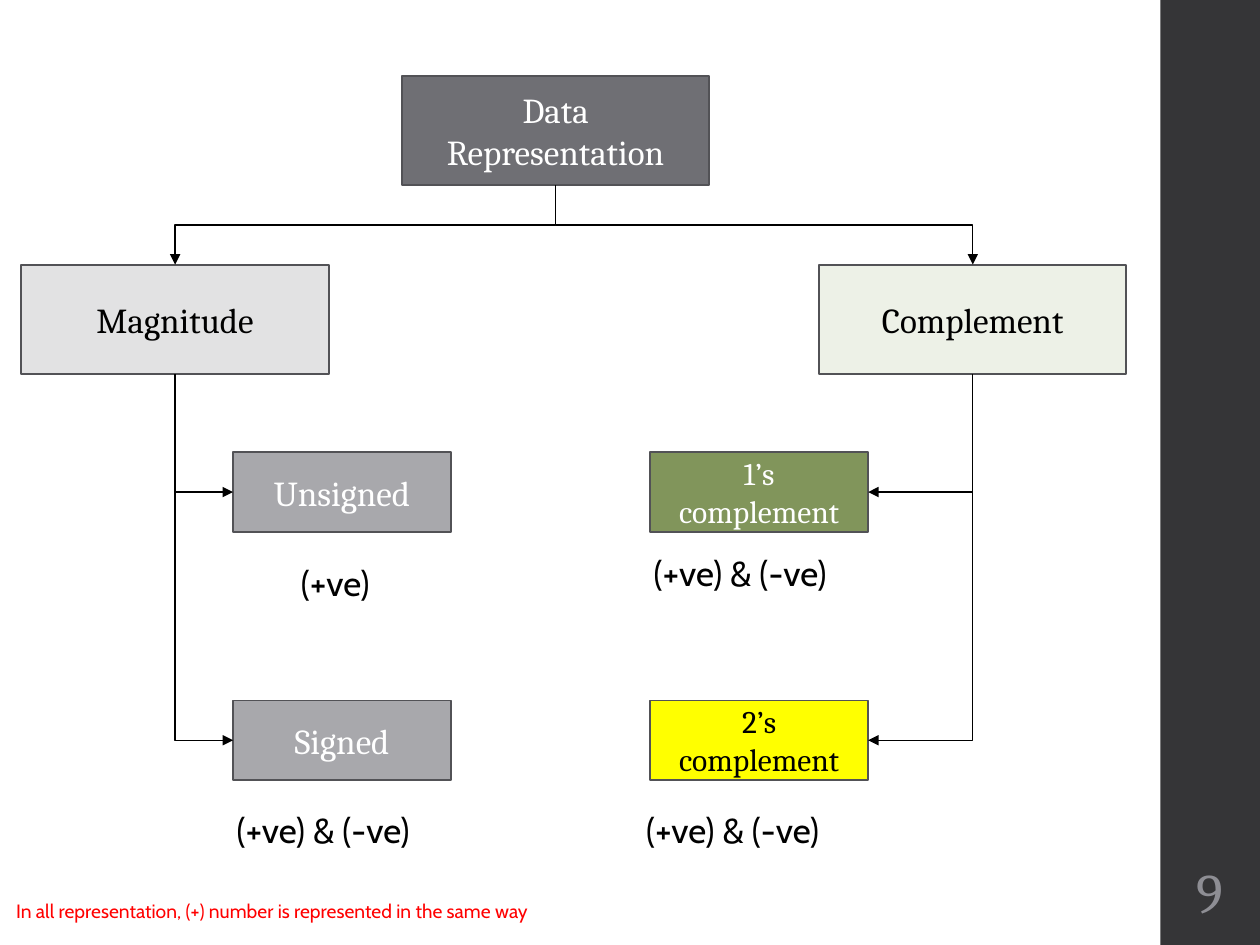
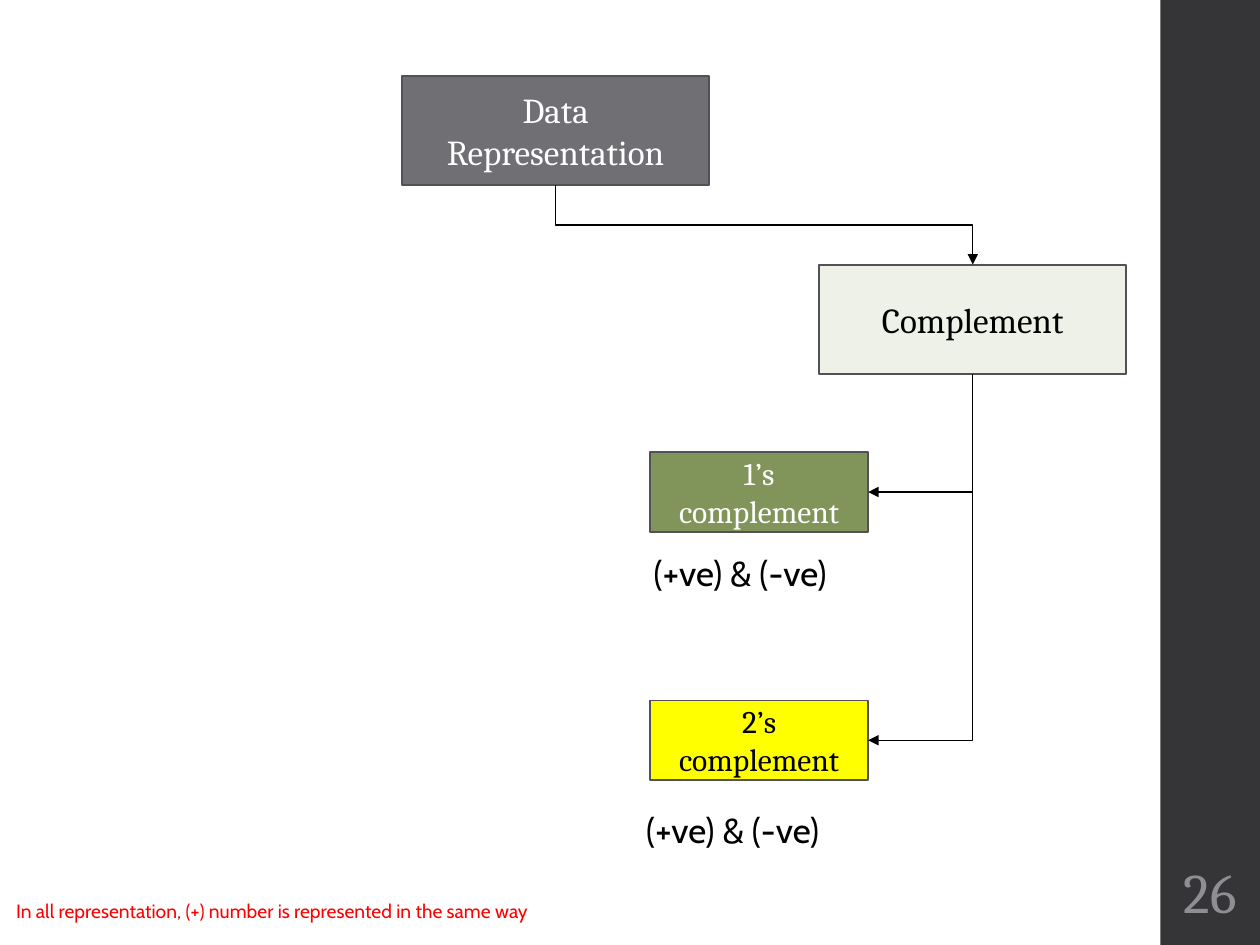
"""Two slides with a tree of number representations, in full and with the complement branch only."""
import pptx
import pptx.dml.color
import pptx.enum.shapes
import pptx.enum.text
import pptx.util
from pptx.util import Inches
import lxml.etree

SERIF, SANS = "Cambria", "Cabin"
WHITE, BLACK, RED = "FFFFFF", "000000", "FF0000"
BAND, OUTLINE, PAGE_GREY = "353537", "525256", "8E8E94"
ROOT_SIZE, LEAF_SIZE = (2.44, 0.87), (1.73, 0.63)
LEAF_TOPS = (3.59, 5.56)
BOTH_SIGNS = "(+ve) & (-ve)"
FOOTNOTE = "In all representation, (+) number is represented in the same way"
TOP, LEFT, BOTTOM, RIGHT = range(4)

magnitude = {
    "name": "Magnitude", "left": 0.17, "fill": "E2E2E3",
    "leaf_left": 1.85, "leaf_side": LEFT, "leaf_size": 20,
    "leaves": [("Unsigned", "A8A8AC", WHITE), ("Signed", "A8A8AC", WHITE)],
    "signs": [("(+ve)", 2.29, 4.41, 0.9), (BOTH_SIGNS, 1.78, 6.37, 1.86)],
}
complement = {
    "name": "Complement", "left": 6.5, "fill": "EDF1E7",
    "leaf_left": 5.16, "leaf_side": RIGHT, "leaf_size": 18,
    "leaves": [("1’s complement", "81955B", WHITE), ("2’s complement", "FFFF00", BLACK)],
    "signs": [(BOTH_SIGNS, 5.09, 4.33, 1.86), (BOTH_SIGNS, 5.03, 6.37, 1.86)],
}


def rgb(hex_code):
    return pptx.dml.color.RGBColor.from_string(hex_code)


def add_node(slide, text, position, extent, fill, color, size):
    node = slide.shapes.add_shape(
        pptx.enum.shapes.MSO_SHAPE.RECTANGLE, *map(Inches, position + extent))
    node.shadow.inherit = False
    node.fill.solid()
    node.fill.fore_color.rgb = rgb(fill)
    node.line.color.rgb = rgb(OUTLINE)
    node.line.width = pptx.util.Pt(1.1)
    node.text_frame.word_wrap = True
    node.text_frame.vertical_anchor = pptx.enum.text.MSO_ANCHOR.MIDDLE
    label = node.text_frame.paragraphs[0]
    label.text = text
    label.alignment = pptx.enum.text.PP_ALIGN.CENTER
    label.font.name, label.font.size = SERIF, pptx.util.Pt(size)
    label.font.color.rgb = rgb(color)
    return node


deck = pptx.Presentation()
deck.slide_width, deck.slide_height = Inches(10), Inches(7.5)

for page, branches in (("9", [magnitude, complement]), ("26", [complement])):
    slide = deck.slides.add_slide(deck.slide_layouts[6])

    band = slide.shapes.add_shape(
        pptx.enum.shapes.MSO_SHAPE.RECTANGLE, Inches(9.21), 0, Inches(0.79), Inches(7.5))
    band.shadow.inherit = False
    band.fill.solid()
    band.fill.fore_color.rgb = rgb(BAND)
    band.line.fill.background()

    root = add_node(slide, "Data Representation", (3.19, 0.6), ROOT_SIZE, "6F6F74", WHITE, 20)
    links = []
    notes = [(FOOTNOTE, 0.03, 7.09, 4.66, 0.29, 11, RED)]
    for branch in branches:
        parent = add_node(slide, branch["name"], (branch["left"], 2.1), ROOT_SIZE,
                          branch["fill"], BLACK, 20)
        links.append((root, parent, TOP, "bentConnector3"))
        for (name, fill, color), top in zip(branch["leaves"], LEAF_TOPS):
            leaf = add_node(slide, name, (branch["leaf_left"], top), LEAF_SIZE,
                            fill, color, branch["leaf_size"])
            links.append((parent, leaf, branch["leaf_side"], "bentConnector2"))
        notes += [(sign, left, top, width, 0.44, 20, BLACK)
                  for sign, left, top, width in branch["signs"]]

    for source, target, side, bend in links:
        start_x, start_y = source.left + source.width // 2, source.top + source.height
        end_x = target.left + {TOP: target.width // 2, LEFT: 0, RIGHT: target.width}[side]
        end_y = target.top + (0 if side == TOP else target.height // 2)
        link = slide.shapes.add_connector(
            pptx.enum.shapes.MSO_CONNECTOR.ELBOW, start_x, start_y, end_x, end_y)
        link.begin_connect(source, BOTTOM)
        link.end_connect(target, side)
        link.line.color.rgb = rgb(BLACK)
        link.line.width = pptx.util.Pt(0.75)
        drop, run = end_y - start_y, abs(end_x - start_x)
        link.left, link.top = (start_x + end_x - drop) // 2, (start_y + end_y - run) // 2
        link.width, link.height = drop, run
        goes_right = end_x > start_x
        properties = link._element.spPr
        frame = properties.find(pptx.oxml.ns.qn("a:xfrm"))
        frame.set("rot", str((270 if goes_right else 90) * 60000))
        frame.set("flipH", "1" if goes_right else "0")
        properties.find(pptx.oxml.ns.qn("a:prstGeom")).set("prst", bend)
        lxml.etree.SubElement(link.line._get_or_add_ln(), pptx.oxml.ns.qn("a:tailEnd"),
                              type="triangle")
        lxml.etree.SubElement(properties, pptx.oxml.ns.qn("a:effectLst"))

    for text, left, top, width, height, size, color in notes:
        note = slide.shapes.add_textbox(*map(Inches, (left, top, width, height))).text_frame
        note.word_wrap = False
        note.auto_size = pptx.enum.text.MSO_AUTO_SIZE.SHAPE_TO_FIT_TEXT
        line = note.paragraphs[0]
        line.text = text
        line.font.name, line.font.size = SANS, pptx.util.Pt(size)
        line.font.color.rgb = rgb(color)

    page_frame = slide.shapes.add_textbox(*map(Inches, (9.23, 6.75, 0.75, 0.65))).text_frame
    page_frame.word_wrap = True
    page_frame.vertical_anchor = pptx.enum.text.MSO_ANCHOR.MIDDLE
    page_frame.margin_left = page_frame.margin_right = Inches(0.03)
    page_number = page_frame.paragraphs[0]
    page_number.text = page
    page_number.alignment = pptx.enum.text.PP_ALIGN.CENTER
    page_number.font.name, page_number.font.size = SERIF, pptx.util.Pt(32)
    page_number.font.color.rgb = rgb(PAGE_GREY)

deck.save("out.pptx")
